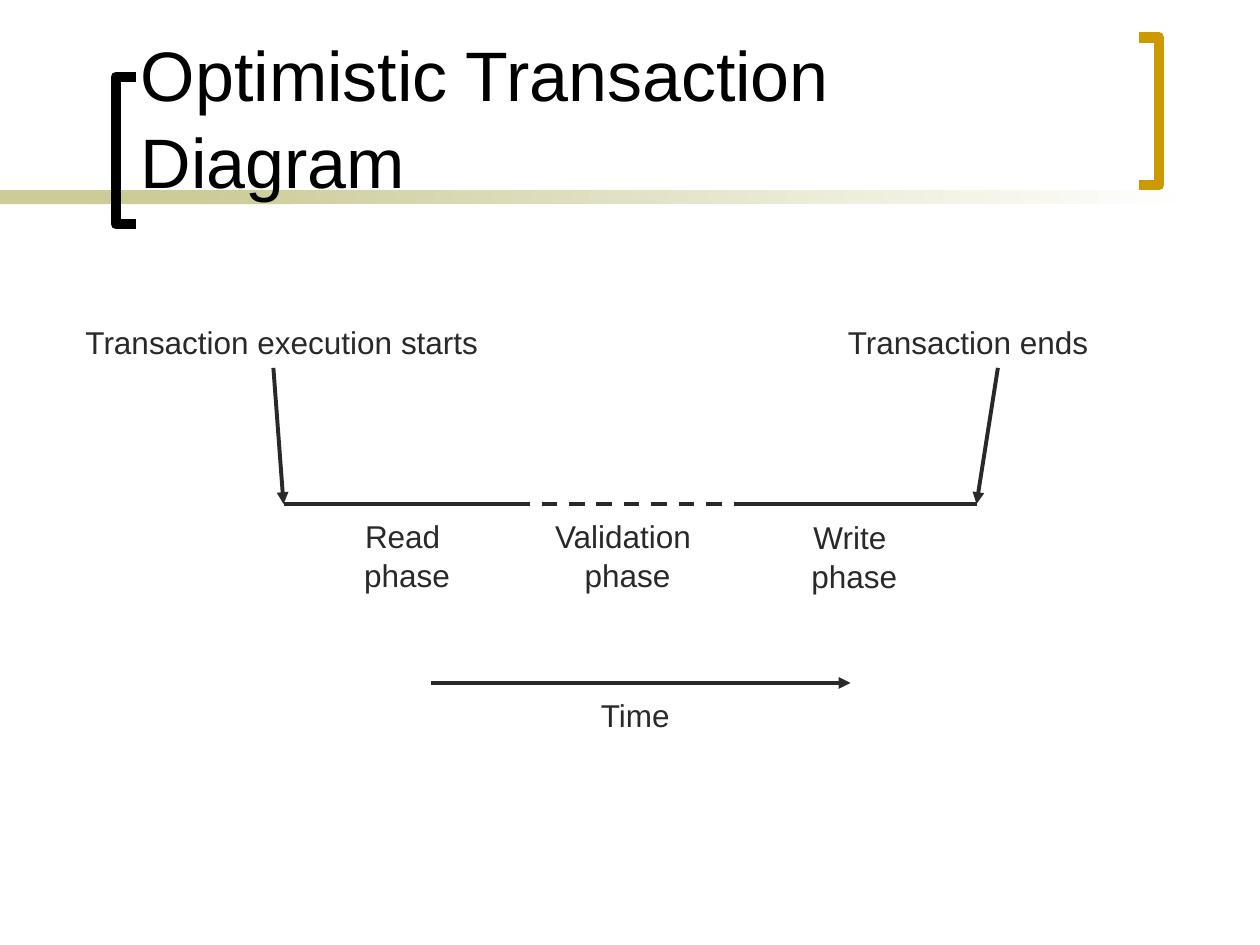
from lxml import etree
from pptx import Presentation
from pptx.dml.color import RGBColor
from pptx.enum import dml, shapes, text
from pptx.oxml.ns import qn
from pptx.util import Inches, Pt

BLACK = RGBColor(0, 0, 0)
INK = RGBColor(0x29, 0x29, 0x29)
SAND = RGBColor(0xCC, 0xCC, 0x99)
GOLD = RGBColor(0xCC, 0x99, 0x00)
WHITE = RGBColor(0xFF, 0xFF, 0xFF)
FONT = "Arial"
LINE_SPACING = 1.04

TITLE = "Optimistic Transaction Diagram"
# Outer x, tip x, top, colour
BRACKETS = [(0.92, 1.08, 0.61, BLACK), (9.2, 9.04, 0.3, GOLD)]
BRACKET_HEIGHT = 1.17

# Text, left, top, width
LABELS = [
    ("Transaction execution starts", 0.58, 2.5, 3.32),
    ("Transaction ends", 6.63, 2.5, 2.12),
    ("Time", 4.67, 5.46, 0.75),
]
PHASES = [
    ("Read \nphase", 2.79, 4.04, 0.88),
    ("Validation \nphase", 4.3, 4.04, 1.36),
    ("Write \nphase", 6.34, 4.05, 0.88),
]
# Start x, start y, end x, end y
ARROWS = [
    (2.17, 2.92, 2.25, 4),
    (7.92, 2.92, 7.75, 4),
    (3.42, 5.42, 6.75, 5.42),
]
TIMELINE_Y = 4
TIMELINE_STOPS = [2.25, 4.08, 5.92, 7.75]
DASHED_PHASE = 1


def add_band(s, left, width):
    sp = s.shapes.add_shape(shapes.MSO_SHAPE.RECTANGLE, Inches(left),
                            Inches(1.51), Inches(width), Inches(0.11))
    sp.shadow.inherit = False
    sp.line.fill.background()
    return sp.fill


def add_bracket(s, outer, tip, top, color):
    bottom = top + BRACKET_HEIGHT
    builder = s.shapes.build_freeform(Inches(tip), Inches(top))
    builder.add_line_segments(
        [(Inches(x), Inches(y))
         for x, y in [(outer, top), (outer, bottom), (tip, bottom)]],
        close=False)
    sp = builder.convert_to_shape()
    sp.shadow.inherit = False
    sp.fill.background()
    sp.line.color.rgb = color
    sp.line.width = Pt(6)


def add_text(s, content, left, top, width, height, size=18, color=INK,
             align=text.PP_ALIGN.LEFT, wrap=False):
    box = s.shapes.add_textbox(Inches(left), Inches(top),
                               Inches(width), Inches(height))
    tf = box.text_frame
    tf.word_wrap = wrap
    tf.text = content
    for p in tf.paragraphs:
        p.alignment = align
        p.line_spacing = LINE_SPACING
        for r in p.runs:
            r.font.name = FONT
            r.font.size = Pt(size)
            r.font.color.rgb = color
    return tf


def add_line(s, x1, y1, x2, y2, arrow=False, dashed=False):
    line = s.shapes.add_connector(shapes.MSO_CONNECTOR.STRAIGHT, Inches(x1),
                                  Inches(y1), Inches(x2), Inches(y2))
    line.line.color.rgb = INK
    line.line.width = Pt(2.25)
    if dashed:
        line.line.dash_style = dml.MSO_LINE.DASH
    props = line._element.spPr
    if arrow:
        etree.SubElement(props.find(qn("a:ln")), qn("a:tailEnd"),
                         type="triangle")
    etree.SubElement(props, qn("a:effectLst"))


def main():
    prs = Presentation()
    prs.slide_width, prs.slide_height = Inches(10), Inches(7.5)
    s = prs.slides.add_slide(prs.slide_layouts[6])

    solid = add_band(s, 0, 2.33)
    solid.solid()
    solid.fore_color.rgb = SAND
    fade = add_band(s, 1.58, 7.92)
    fade.gradient()
    fade.gradient_angle = 0
    for stop, color, position in zip(fade.gradient_stops, (SAND, WHITE), (0, 1)):
        stop.color.rgb = color
        stop.position = position

    for bracket in BRACKETS:
        add_bracket(s, *bracket)

    title = add_text(s, TITLE, 1.02, 0.11, 7.83, 1.55, size=40, color=BLACK,
                     wrap=True)
    title.vertical_anchor = text.MSO_ANCHOR.BOTTOM

    for label in LABELS:
        add_text(s, *label, 0.4)
    for phase in PHASES:
        add_text(s, *phase, 0.7, align=text.PP_ALIGN.CENTER)

    for arrow in ARROWS:
        add_line(s, *arrow, arrow=True)
    for i, (x1, x2) in enumerate(zip(TIMELINE_STOPS, TIMELINE_STOPS[1:])):
        add_line(s, x1, TIMELINE_Y, x2, TIMELINE_Y, dashed=i == DASHED_PHASE)

    prs.save("out.pptx")


if __name__ == "__main__":
    main()
